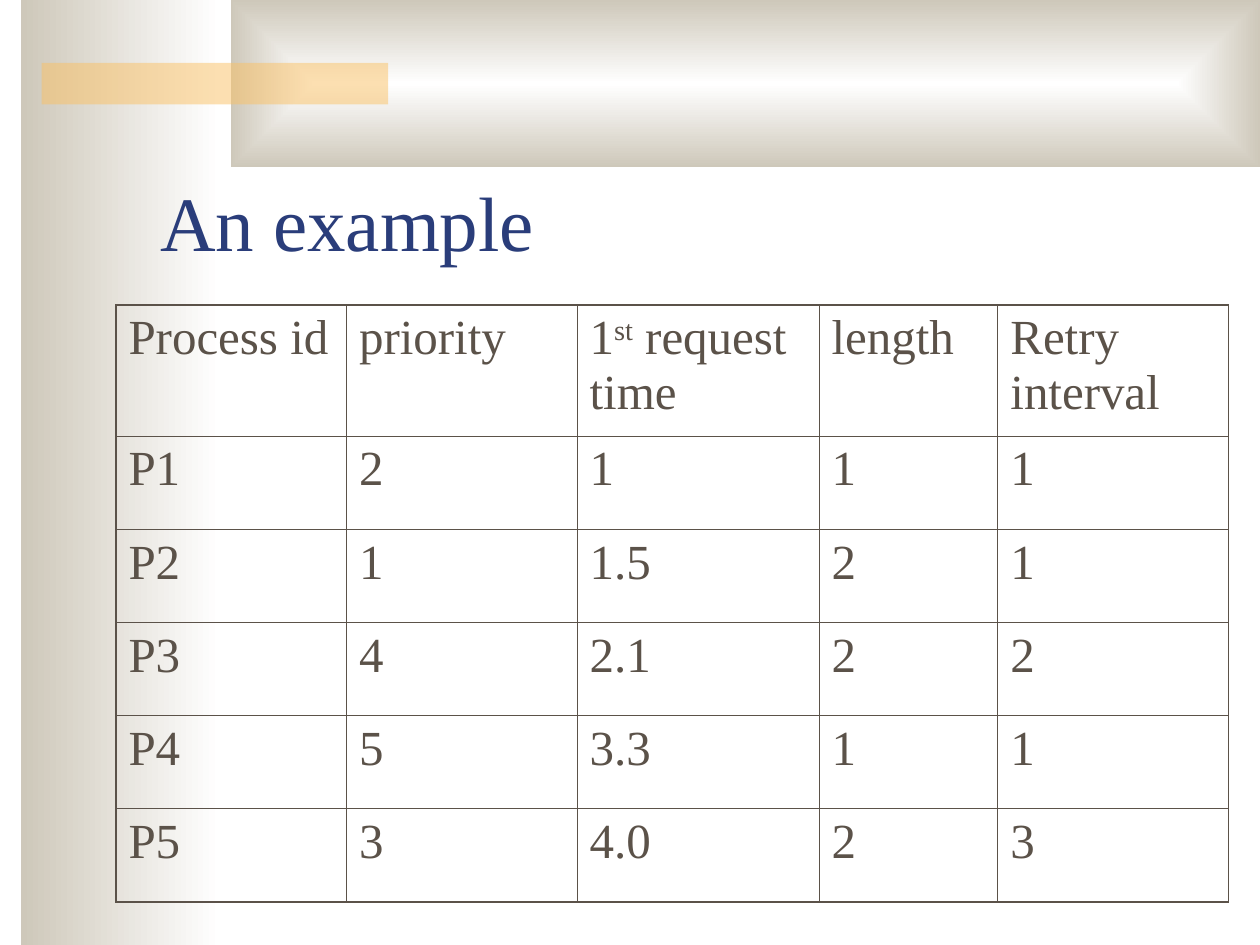
import pptx
import pptx.util
import pptx.dml.color
import pptx.enum.shapes
import pptx.enum.text
import pptx.oxml.ns
from lxml import etree

Inches, Pt = pptx.util.Inches, pptx.util.Pt
qn = pptx.oxml.ns.qn
FONT, BROWN, BEIGE = "Times New Roman", "5B5249", "CEC8BA"


def paint(target, color):
    """Give a fill, font or gradient stop a hex colour."""
    if hasattr(target, "solid"):
        target.solid()
        target = target.fore_color
    else:
        target = target.color
    target.rgb = pptx.dml.color.RGBColor.from_string(color)


def style(run, size, color):
    run.font.name = FONT
    run.font.size = Pt(size)
    paint(run.font, color)


deck = pptx.Presentation()
deck.slide_width, deck.slide_height = Inches(10), Inches(7.5)
slide = deck.slides.add_slide(deck.slide_layouts[5])

# Background bands
bands = []
for box in [(0.17, 0, 1.58, 7.5), (1.83, 0, 8.17, 1.33), (0.33, 0.5, 2.75, 0.33)]:
    band = slide.shapes.add_shape(
        pptx.enum.shapes.MSO_SHAPE.RECTANGLE, *[Inches(n) for n in box])
    band.shadow.inherit = False
    band.line.fill.background()
    bands.append(band)
side, top, accent = bands

for band in (side, top):
    band.fill.gradient()
    for stop, color in zip(band.fill.gradient_stops, ("FFFFFF", BEIGE)):
        paint(stop, color)
side.fill.gradient_angle = 180

# The top band shades from its edges to its centre
grad = top._element.spPr.find(qn("a:gradFill"))
grad.remove(grad.find(qn("a:lin")))
shade = etree.SubElement(grad, qn("a:path"), {"path": "rect"})
etree.SubElement(shade, qn("a:fillToRect"), {edge: "50000" for edge in "ltrb"})

paint(accent.fill, "FAC164")
tint = accent._element.spPr.find(".//" + qn("a:srgbClr"))
etree.SubElement(tint, qn("a:alpha"), {"val": "50000"})

# Title, brought in front of the bands
title = slide.shapes.title
slide.shapes._spTree.append(title._element)
title.left, title.top = Inches(1.17), Inches(0.92)
title.width, title.height = Inches(8.5), Inches(1.25)
frame = title.text_frame
frame.text = "An example"
frame.auto_size = pptx.enum.text.MSO_AUTO_SIZE.NONE
frame.vertical_anchor = pptx.enum.text.MSO_ANCHOR.BOTTOM
frame.paragraphs[0].alignment = pptx.enum.text.PP_ALIGN.LEFT
style(frame.paragraphs[0].runs[0], 44, "2A3D7A")

# Process table
rows = [
    ["Process id", "priority", "", "length", "Retry interval"],
    ["P1", "2", "1", "1", "1"],
    ["P2", "1", "1.5", "2", "1"],
    ["P3", "4", "2.1", "2", "2"],
    ["P4", "5", "3.3", "1", "1"],
    ["P5", "3", "4.0", "2", "3"],
]
widths = [1.83, 1.83, 1.92, 1.42, 1.83]
heights = [1.04] + [0.74] * 5
table = slide.shapes.add_table(
    len(rows), len(widths), Inches(0.92), Inches(2.42),
    Inches(sum(widths)), Inches(sum(heights))).table
table.first_row = table.horz_banding = False
for col, width in zip(table.columns, widths):
    col.width = Inches(width)
for row, height in zip(table.rows, heights):
    row.height = Inches(height)

# The one heading with a raised ordinal
para = table.cell(0, 2).text_frame.paragraphs[0]
for part in ("1", "st", " request time"):
    para.add_run().text = part
para.runs[1].font._element.set("baseline", "30000")

for r, row in enumerate(rows):
    for c, text in enumerate(row):
        cell = table.cell(r, c)
        if text:
            cell.text_frame.text = text
        para = cell.text_frame.paragraphs[0]
        para.space_before = Pt(7)
        for run in para.runs:
            style(run, 28, BROWN)
        outer = {"L": c == 0, "R": c == len(row) - 1,
                 "T": r == 0, "B": r == len(rows) - 1}
        props = cell._tc.get_or_add_tcPr()
        for edge, rim in outer.items():
            width = Pt(1.08 if rim else 0.45)
            line = etree.SubElement(props, qn("a:ln" + edge), {"w": str(width)})
            fill = etree.SubElement(line, qn("a:solidFill"))
            etree.SubElement(fill, qn("a:srgbClr"), {"val": BROWN})
        cell.fill.background()

deck.save("out.pptx")
